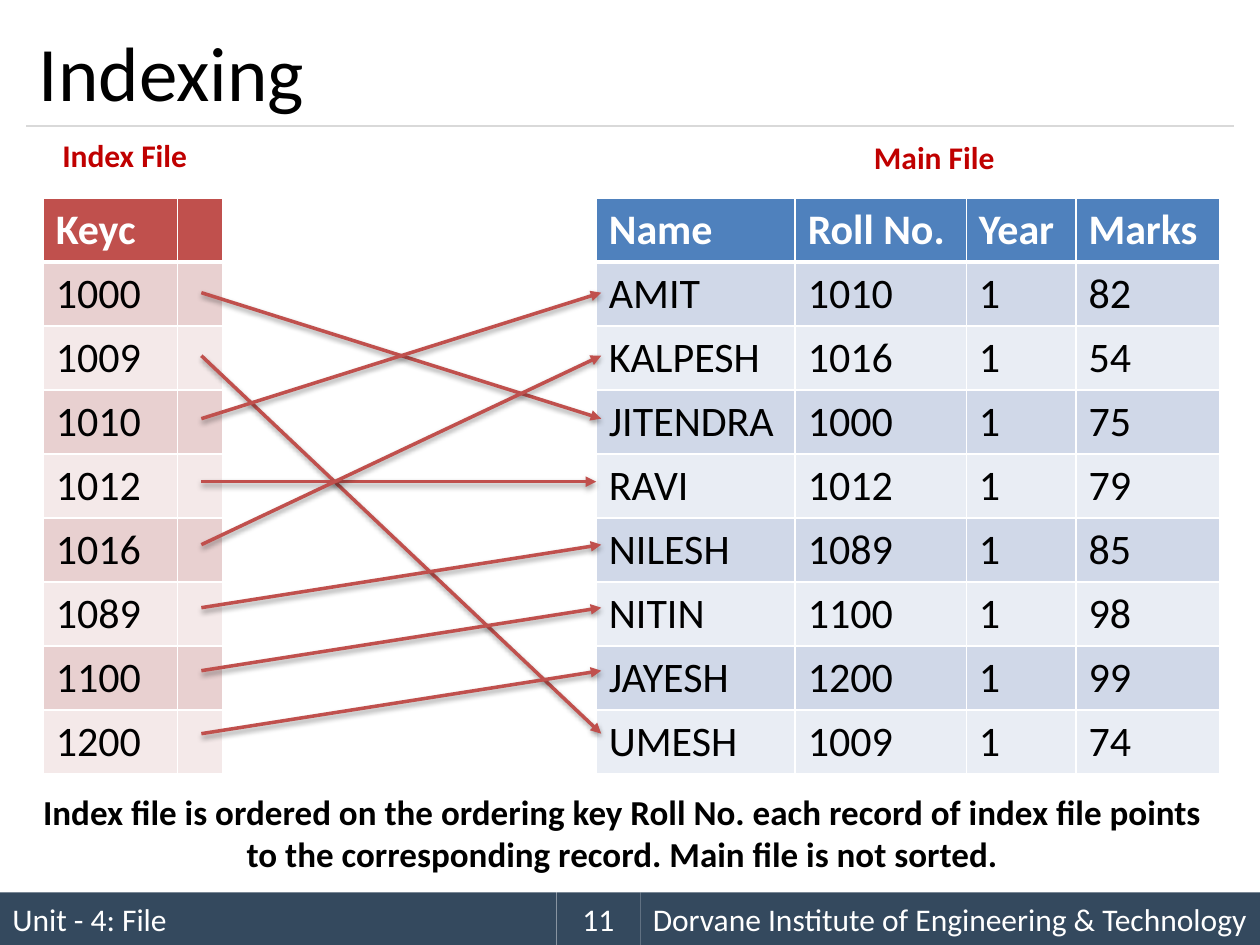
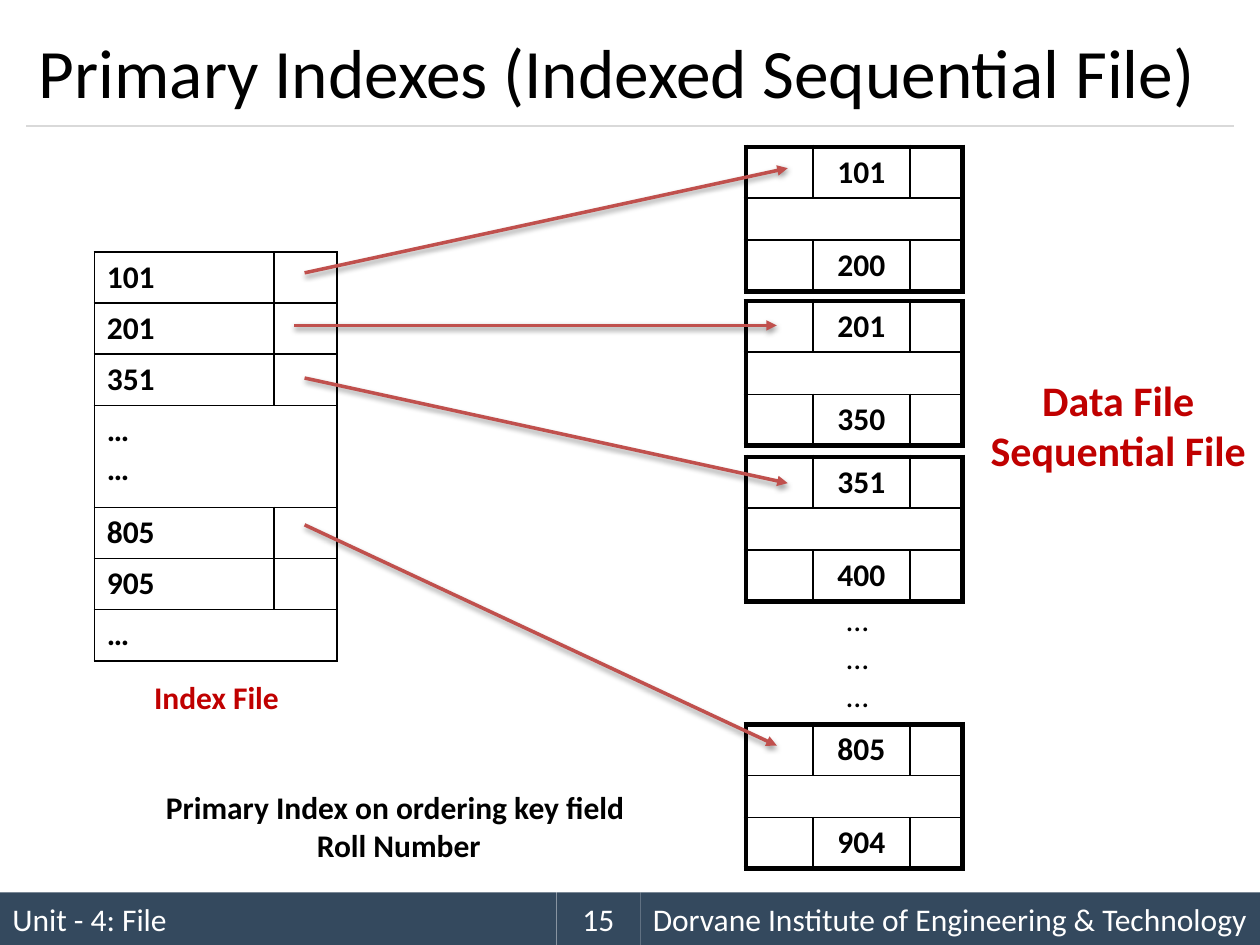
import lxml.etree
import pptx
import pptx.dml.color
import pptx.enum.shapes
import pptx.enum.text
import pptx.oxml
import pptx.oxml.ns
import pptx.util

Cm = pptx.util.Cm
Pt = pptx.util.Pt
LEFT = pptx.enum.text.PP_ALIGN.LEFT
CENTER = pptx.enum.text.PP_ALIGN.CENTER
MIDDLE = pptx.enum.text.MSO_ANCHOR.MIDDLE
FONT = "Calibri"
BLACK, WHITE = "000000", "FFFFFF"
BAND, RULE = "34495E", "D9D9D9"
BLUE, RED, LABEL = "4F81BD", "C0504D", "C00000"
BLUE_ROWS = ("D0D8E8", "E9EDF4")
RED_ROWS = ("E8D0D0", "F4E9E9")
ARROW_SHADOW = (
    '<a:effectLst %s><a:outerShdw blurRad="39370" dist="20320" dir="5400000" rotWithShape="0">'
    '<a:srgbClr val="000000"><a:alpha val="38000"/></a:srgbClr></a:outerShdw></a:effectLst>'
    % pptx.oxml.ns.nsdecls("a")
)
EMPTY_EFFECTS = "<a:effectLst %s/>" % pptx.oxml.ns.nsdecls("a")

RECORDS = [
    ("AMIT", "1010", "1", "82"),
    ("KALPESH", "1016", "1", "54"),
    ("JITENDRA", "1000", "1", "75"),
    ("RAVI", "1012", "1", "79"),
    ("NILESH", "1089", "1", "85"),
    ("NITIN", "1100", "1", "98"),
    ("JAYESH", "1200", "1", "99"),
    ("UMESH", "1009", "1", "74"),
]


def color(value):
    """Turn a hex string into a colour."""
    return pptx.dml.color.RGBColor.from_string(value)


def write(frame, text, size=18, ink=BLACK, bold=False, align=LEFT):
    """Fill a text frame, one paragraph for each line of text."""
    for number, line in enumerate(text.split("\n")):
        paragraph = frame.add_paragraph() if number else frame.paragraphs[0]
        paragraph.alignment = align
        run = paragraph.add_run()
        run.text = line
        run.font.name = FONT
        run.font.size = Pt(size)
        run.font.bold = bold
        run.font.color.rgb = color(ink)


def add_text(slide, box, text, wrap=False, **style):
    """Add a centred bold text box."""
    shape = slide.shapes.add_textbox(*map(Cm, box))
    shape.text_frame.word_wrap = wrap
    write(shape.text_frame, text, bold=True, align=CENTER, **style)


def add_line(slide, start, end, ink, width, effects=EMPTY_EFFECTS):
    """Add a straight line and return it."""
    straight = pptx.enum.shapes.MSO_CONNECTOR.STRAIGHT
    line = slide.shapes.add_connector(straight, *map(Cm, start + end))
    line.line.color.rgb = color(ink)
    line.line.width = Pt(width)
    line._element.spPr.append(pptx.oxml.parse_xml(effects))
    return line


def add_arrow(slide, start, end):
    """Add a red pointer from an index entry to its record."""
    arrow = add_line(slide, start, end, RED, 2, ARROW_SHADOW)
    outline = arrow.line._get_or_add_ln()
    lxml.etree.SubElement(outline, pptx.oxml.ns.qn("a:tailEnd"), type="triangle")


def add_band(slide, left, width, text, align=LEFT):
    """Add one part of the footer band."""
    rectangle = pptx.enum.shapes.MSO_SHAPE.RECTANGLE
    shape = slide.shapes.add_shape(rectangle, Cm(left), Cm(17.99), Cm(width), Cm(1.06))
    shape.shadow.inherit = False
    shape.fill.solid()
    shape.fill.fore_color.rgb = color(BAND)
    shape.line.fill.background()
    shape.text_frame.vertical_anchor = MIDDLE
    write(shape.text_frame, text, ink=WHITE, align=align)


def add_base(presentation, title, number, size):
    """Add a slide with its title, rule and footer."""
    slide = presentation.slides.add_slide(presentation.slide_layouts[5])
    heading = slide.shapes.title
    heading.left, heading.top, heading.width, heading.height = map(Cm, (0.53, 0.3, 24.33, 2.24))
    frame = heading.text_frame
    frame.vertical_anchor = MIDDLE
    frame.auto_size = pptx.enum.text.MSO_AUTO_SIZE.NONE
    write(frame, title, size=size)
    add_line(slide, (0.53, 2.54), (24.87, 2.54), RULE, 0.75)
    add_band(slide, 0, 11.22, "Unit - 4: File")
    add_band(slide, 12.91, 12.49, "Dorvane Institute of Engineering & Technology")
    add_band(slide, 11.22, 1.69, str(number), align=CENTER)
    return slide


def set_borders(cell, ink, widths):
    """Draw the left, right, top and bottom edges of a cell."""
    properties = cell._tc.get_or_add_tcPr()
    for side, width in zip("LRTB", widths):
        name = pptx.oxml.ns.qn("a:ln" + side)
        edge = lxml.etree.SubElement(properties, name, w=str(Pt(width)))
        if not width:
            lxml.etree.SubElement(edge, pptx.oxml.ns.qn("a:noFill"))
            continue
        fill = lxml.etree.SubElement(edge, pptx.oxml.ns.qn("a:solidFill"))
        lxml.etree.SubElement(fill, pptx.oxml.ns.qn("a:srgbClr"), val=ink)


def add_grid(slide, corner, widths, heights, rows, ink=BLACK, outer=1, inner=1,
             header=None, stripes=None, bold=True, size=18, align=LEFT):
    """Add a table in which a row of one value spans all columns."""
    columns = len(widths)
    frame = slide.shapes.add_table(
        len(rows), columns, *map(Cm, corner + (sum(widths), sum(heights))))
    table = frame.table
    table.first_row = bool(header)
    table.horz_banding = bool(stripes)
    for column, width in zip(table.columns, widths):
        column.width = Cm(width)
    for row, height in zip(table.rows, heights):
        row.height = Cm(height)
    rule = 3 if header else inner
    edges = [outer, rule] + [inner] * (len(rows) - 2) + [outer]
    for r, values in enumerate(rows):
        spans = len(values) == 1 < columns
        for c in range(columns):
            cell = table.cell(r, c)
            left = outer if c == 0 else 0 if spans else inner
            right = outer if spans or c == columns - 1 else inner
            bottom = outer if r == len(rows) - 1 else edges[r + 1]
            set_borders(cell, ink, (left, right, edges[r], bottom))
            is_header = header and r == 0
            if header:
                cell.fill.solid()
                cell.fill.fore_color.rgb = color(header if is_header else stripes[(r - 1) % 2])
            else:
                cell.fill.background()
            text = values[c] if c < len(values) else ""
            if text:
                write(cell.text_frame, text, size=size, bold=bool(is_header or bold),
                      ink=WHITE if is_header else BLACK, align=align)
            else:
                cell.margin_top = cell.margin_bottom = 0
        if spans:
            table.cell(r, 0).merge(table.cell(r, columns - 1))


def add_file_table(slide, left, widths, rows, header, stripes):
    """Add a striped table of one file."""
    add_grid(slide, (left, 3.99), widths, [1.29] * len(rows), rows, ink=WHITE,
             header=header, stripes=stripes, bold=False, size=24)


def add_data_block(slide, top, first, last):
    """Add one block of the sequential file with its first and last key."""
    add_grid(slide, (15.04, top), (1.35, 1.95, 1.06), (1.03, 0.85, 1.03),
             [("", first, ""), ("",), ("", last, "")], outer=3, align=CENTER)


def build_indexing(presentation):
    """Build the slide that links sorted keys to an unsorted file."""
    slide = add_base(presentation, "Indexing", 11, 44)
    rolls = [record[1] for record in RECORDS]
    keys = sorted(rolls)
    add_file_table(slide, 12.02, (4.01, 3.45, 2.21, 2.9),
                   [("Name", "Roll No.", "Year", "Marks")] + RECORDS, BLUE, BLUE_ROWS)
    add_file_table(slide, 0.87, (2.71, 0.92),
                   [("Keyc", "")] + [(key, "") for key in keys], RED, RED_ROWS)
    for position, key in enumerate(keys):
        target = rolls.index(key)
        tip = 12.02 if target == position else 12.12
        add_arrow(slide, (4.06, 5.9 + 1.27 * position), (tip, 5.9 + 1.27 * target))
    add_text(slide, (0.99, 2.62, 3.05, 1.03), "Index File", ink=LABEL)
    add_text(slide, (17.35, 2.66, 2.97, 1.03), "Main File", ink=LABEL)
    add_text(slide, (0.53, 15.82, 24.03, 1.97),
             "Index file is ordered on the ordering key Roll No. each record of index file "
             "points to the corresponding record. Main file is not sorted.", wrap=True, size=20)


def build_primary_indexes(presentation):
    """Build the slide that links an index to blocks of a sorted file."""
    slide = add_base(presentation, "Primary Indexes (Indexed Sequential File)", 15, 39.6)
    blocks = [(2.96, "101", "200"), (6.07, "201", "350"), (9.21, "351", "400"),
              (14.6, "805", "904")]
    for top, first, last in blocks:
        add_data_block(slide, top, first, last)
    add_grid(slide, (15.06, 11.99), (4.45,), (2.97,), [("…\n…\n…",)],
             outer=0, inner=0, bold=False, align=CENTER)
    index_rows = [("101", ""), ("201", ""), ("351", ""), ("…\n…",),
                  ("805", ""), ("905", ""), ("…",)]
    add_grid(slide, (1.9, 5.08), (3.62, 1.27),
             [2.06 if "\n" in row[0] else 1.03 for row in index_rows], index_rows)
    for start, end in [
        ((6.14, 5.5), (15.88, 3.39)),
        ((5.93, 6.56), (15.66, 6.56)),
        ((6.14, 7.62), (15.88, 9.74)),
        ((6.14, 10.58), (15.66, 15.03)),
    ]:
        add_arrow(slide, start, end)
    add_text(slide, (2.84, 13.54, 3.05, 1.03), "Index File", ink=LABEL)
    add_text(slide, (19.69, 7.42, 5.71, 2.31), "Data File\nSequential File", ink=LABEL, size=24)
    add_text(slide, (1.69, 15.77, 12.7, 1.8),
             "Primary Index on ordering key field \nRoll Number", wrap=True)


def main():
    """Build and save the presentation."""
    presentation = pptx.Presentation()
    presentation.slide_width, presentation.slide_height = Cm(25.4), Cm(19.05)
    build_indexing(presentation)
    build_primary_indexes(presentation)
    presentation.save("out.pptx")


if __name__ == "__main__":
    main()
